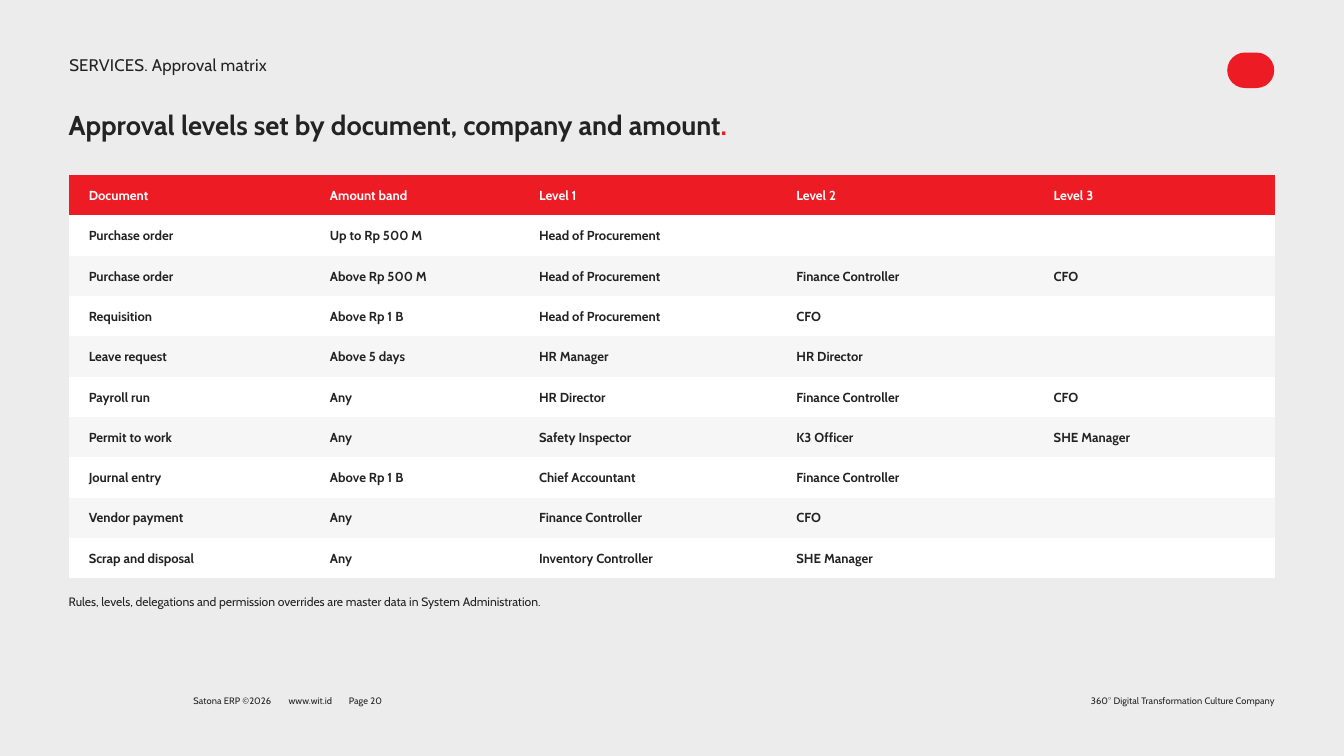
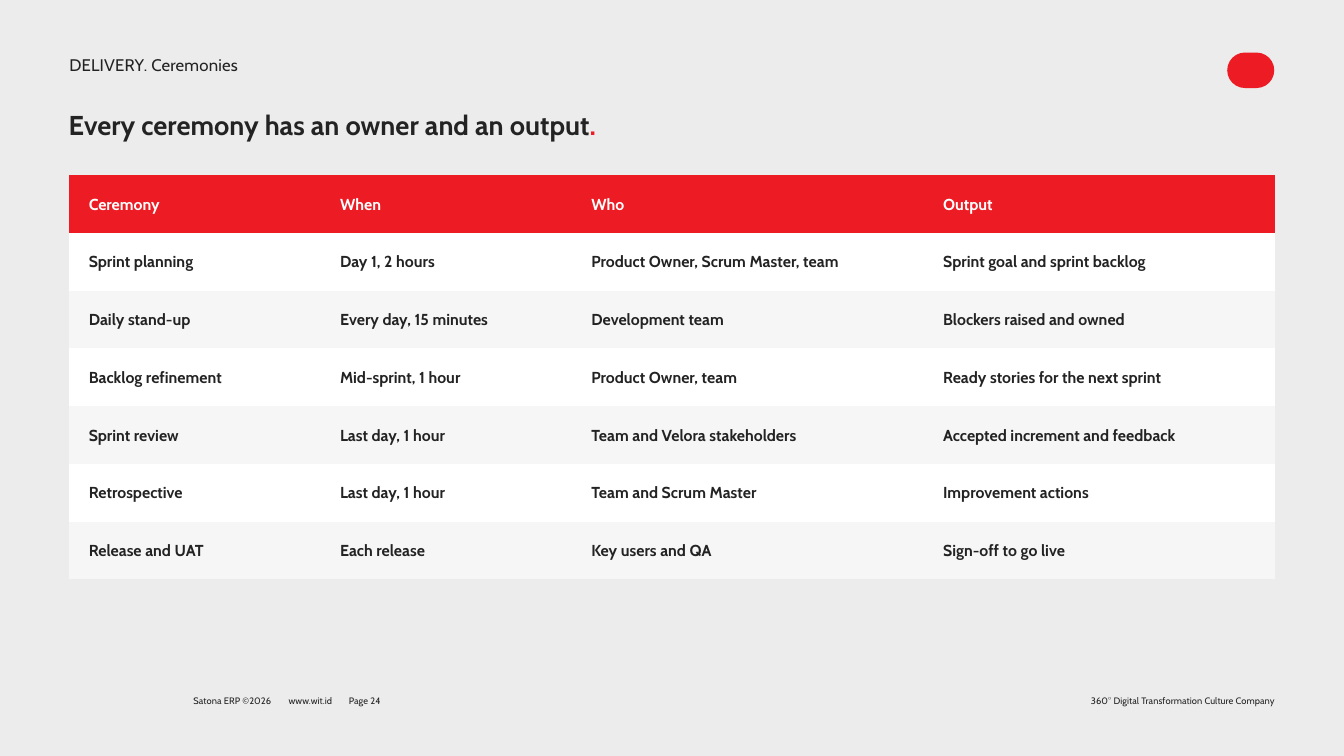
import pptx
import pptx.dml.color
import pptx.enum.shapes
import pptx.enum.text
import pptx.oxml.ns
import pptx.util
from lxml import etree

Pt = pptx.util.Pt
ALIGN = pptx.enum.text.PP_ALIGN
NO_STYLE = "{2D5ABB26-0587-4C30-8999-92F81FD0307C}"

FONT = "Cabin"
RED, INK, WHITE = "ED1C24", "232323", "FFFFFF"
PAGE_GREY, BAND_GREY = "ECECEC", "F6F6F6"
LEFT, WIDTH = 73.5, 1292.4
TABLE_TOP = 187.5


def color(value):
    return pptx.dml.color.RGBColor.from_string(value)


def paint(target, value):
    target.fill.solid()
    target.fill.fore_color.rgb = color(value)


class Style:
    """Holds the deck style and the slide being built."""

    def __init__(self):
        self.deck = pptx.Presentation()
        self.deck.slide_width = Pt(1440)
        self.deck.slide_height = Pt(810)
        self.page = None

    def format_span(self, span, size, ink=INK, bold=False, tracking=0):
        span.font.name = FONT
        span.font.size = Pt(size)
        span.font.bold = bold
        span.font.color.rgb = color(ink)
        if tracking:
            span.font._element.set("spc", str(tracking))

    def text(self, left, top, width, height, words, size, leading,
             align=ALIGN.LEFT, tabs=(), **look):
        box = self.page.shapes.add_textbox(Pt(left), Pt(top), Pt(width), Pt(height))
        frame = box.text_frame
        frame.word_wrap = True
        frame.margin_left = frame.margin_right = 0
        frame.margin_top = frame.margin_bottom = 0
        frame.text = words
        para = frame.paragraphs[0]
        para.alignment = align
        para.line_spacing = Pt(leading)
        if tabs:
            properties = para._p.get_or_add_pPr()
            tab_list = etree.SubElement(properties, pptx.oxml.ns.qn("a:tabLst"))
            for stop in tabs:
                etree.SubElement(tab_list, pptx.oxml.ns.qn("a:tab"),
                                 pos=str(Pt(stop)), algn="l")
        for span in para.runs:
            self.format_span(span, size, **look)
        return para

    def title(self, words):
        para = self.text(LEFT, 120.2, WIDTH, 36, words, 29.2, 30.7, bold=True)
        stop = para.add_run()
        stop.text = "."
        self.format_span(stop, 29.2, RED, bold=True)

    def pill(self):
        pill = self.page.shapes.add_shape(
            pptx.enum.shapes.MSO_SHAPE.ROUNDED_RECTANGLE,
            Pt(1314.9), Pt(56.3), Pt(50.4), Pt(38))
        pill.adjustments[0] = 0.5
        pill.shadow.inherit = False
        paint(pill, RED)
        pill.line.fill.background()

    def footer(self, number):
        self.text(207.3, 742.4, 232, 13, f"Satona ERP ©2026\twww.wit.id\tPage {number}",
                  10, 14, tabs=(102, 166.5), tracking=10)
        self.text(1023.9, 742.4, 342, 13, "360° Digital Transformation Culture Company",
                  10, 14, align=ALIGN.RIGHT, tracking=10)

    def start_page(self, section, title, number):
        self.page = self.deck.slides.add_slide(self.deck.slide_layouts[6])
        paint(self.page.background, PAGE_GREY)
        self.pill()
        self.text(74.2, 54.7, 558, 24, section, 18, 25.2, tracking=20)
        self.footer(number)
        self.title(title)

    def table(self, rows, column_shares, row_height, size):
        table = self.page.shapes.add_table(
            len(rows), len(column_shares), Pt(LEFT), Pt(TABLE_TOP),
            Pt(WIDTH), Pt(row_height * len(rows))).table
        table.first_row = table.horz_banding = False
        table._tbl.tblPr.find(pptx.oxml.ns.qn("a:tableStyleId")).text = NO_STYLE
        for column, share in zip(table.columns, column_shares):
            column.width = Pt(WIDTH * share / sum(column_shares))
        for index, values in enumerate(rows):
            table.rows[index].height = Pt(row_height)
            band = RED if index == 0 else WHITE if index % 2 else BAND_GREY
            ink = INK if index else WHITE
            for cell, value in zip(table.rows[index].cells, values):
                self.fill_cell(cell, value, band, ink, size)

    def fill_cell(self, cell, value, band, ink, size):
        paint(cell, band)
        cell.vertical_anchor = pptx.enum.text.MSO_ANCHOR.MIDDLE
        cell.margin_left = cell.margin_right = Pt(21.6)
        cell.margin_top = cell.margin_bottom = Pt(5.8)
        if value:
            para = cell.text_frame.paragraphs[0]
            para.text = value
            para.line_spacing = Pt(size * 1.3)
            self.format_span(para.runs[0], size, ink, bold=True)


APPROVALS = [
    ("Document", "Amount band", "Level 1", "Level 2", "Level 3"),
    ("Purchase order", "Up to Rp 500 M", "Head of Procurement", "", ""),
    ("Purchase order", "Above Rp 500 M", "Head of Procurement", "Finance Controller", "CFO"),
    ("Requisition", "Above Rp 1 B", "Head of Procurement", "CFO", ""),
    ("Leave request", "Above 5 days", "HR Manager", "HR Director", ""),
    ("Payroll run", "Any", "HR Director", "Finance Controller", "CFO"),
    ("Permit to work", "Any", "Safety Inspector", "K3 Officer", "SHE Manager"),
    ("Journal entry", "Above Rp 1 B", "Chief Accountant", "Finance Controller", ""),
    ("Vendor payment", "Any", "Finance Controller", "CFO", ""),
    ("Scrap and disposal", "Any", "Inventory Controller", "SHE Manager", ""),
]

CEREMONIES = [
    ("Ceremony", "When", "Who", "Output"),
    ("Sprint planning", "Day 1, 2 hours", "Product Owner, Scrum Master, team",
     "Sprint goal and sprint backlog"),
    ("Daily stand-up", "Every day, 15 minutes", "Development team",
     "Blockers raised and owned"),
    ("Backlog refinement", "Mid-sprint, 1 hour", "Product Owner, team",
     "Ready stories for the next sprint"),
    ("Sprint review", "Last day, 1 hour", "Team and Velora stakeholders",
     "Accepted increment and feedback"),
    ("Retrospective", "Last day, 1 hour", "Team and Scrum Master", "Improvement actions"),
    ("Release and UAT", "Each release", "Key users and QA", "Sign-off to go live"),
]


def main():
    style = Style()

    # Approval matrix
    style.start_page("SERVICES. Approval matrix",
                     "Approval levels set by document, company and amount", 20)
    style.table(APPROVALS, (15, 13, 16, 16, 15), row_height=43.2, size=14)
    style.text(LEFT, 635, WIDTH, 25,
               "Rules, levels, delegations and permission overrides "
               "are master data in System Administration.", 13, 18)

    # Ceremonies
    style.start_page("DELIVERY. Ceremonies",
                     "Every ceremony has an owner and an output", 24)
    style.table(CEREMONIES, (5, 5, 7, 7), row_height=61.9, size=17)

    style.deck.save("out.pptx")


if __name__ == "__main__":
    main()
